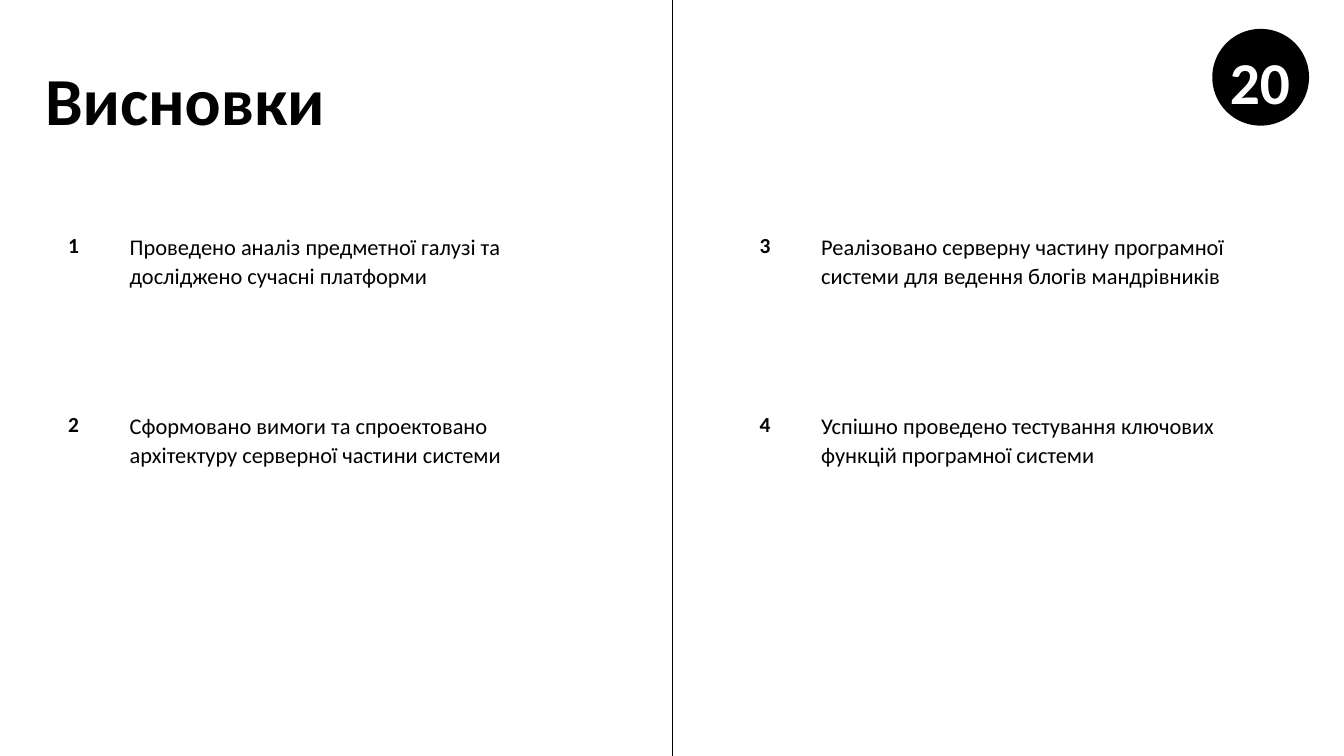
import pptx
import pptx.util
import pptx.dml.color
import pptx.enum.shapes
import pptx.enum.text
from lxml import etree
from pptx.enum.text import PP_ALIGN

BLACK = pptx.dml.color.RGBColor(0, 0, 0)
WHITE = pptx.dml.color.RGBColor(255, 255, 255)
FONT = "Calibri"
WIDTH, HEIGHT = 20, 11.25
COLUMN_LEFT, COLUMN_STEP = 0.67, 10.29
ROW_TOP, ROW_STEP = 3.44, 2.66
TEXT_INDENT = 1.26
COLUMNS = [
    [
        "Проведено аналіз предметної галузі та досліджено сучасні платформи",
        "Сформовано вимоги та спроектовано архітектуру серверної частини системи",
    ],
    [
        "Реалізовано серверну частину програмної системи для ведення блогів мандрівників",
        "Успішно проведено тестування ключових функцій програмної системи",
    ],
]


def inches(*lengths):
    return [pptx.util.Inches(length) for length in lengths]


def format_text(sp, text, size, spacing, bold=False, color=BLACK, align=PP_ALIGN.LEFT):
    tf = sp.text_frame
    tf.word_wrap = True
    tf.auto_size = pptx.enum.text.MSO_AUTO_SIZE.NONE
    tf.vertical_anchor = pptx.enum.text.MSO_ANCHOR.TOP
    tf.margin_left = tf.margin_right = tf.margin_top = tf.margin_bottom = 0
    p = tf.paragraphs[0]
    p.text = text
    p.alignment = align
    p.line_spacing = pptx.util.Pt(spacing)
    p.space_before = pptx.util.Pt(0)
    p.font.name = FONT
    p.font.size = pptx.util.Pt(size)
    p.font.bold = bold
    p.font.color.rgb = color


def add_title(s, text):
    sp = s.shapes.title
    sp.left, sp.top, sp.width, sp.height = inches(COLUMN_LEFT, 0.87, 7.54, 1.21)
    format_text(sp, text, 72, 86.4, bold=True)


def add_divider(s):
    x = WIDTH / 2
    line = s.shapes.add_connector(
        pptx.enum.shapes.MSO_CONNECTOR.STRAIGHT, *inches(x, 0, x, HEIGHT)
    )
    line.line.color.rgb = BLACK
    line.line.width = pptx.util.Pt(0.75)
    etree.SubElement(line.element.spPr, pptx.oxml.ns.qn("a:effectLst"))


def add_conclusion(s, number, text, left, top):
    sp = s.shapes.add_textbox(*inches(left + TEXT_INDENT, top, 6.65, 0.84))
    format_text(sp, text, 24, 31.2)
    sp = s.shapes.add_textbox(*inches(left, top + 0.02, 0.85, 0.38))
    format_text(sp, str(number), 23, 27.6, bold=True, align=PP_ALIGN.CENTER)


def add_page_badge(s, number):
    sp = s.shapes.add_shape(
        pptx.enum.shapes.MSO_SHAPE.OVAL, *inches(18.04, 0.43, 1.44, 1.44)
    )
    sp.shadow.inherit = False
    sp.fill.solid()
    sp.fill.fore_color.rgb = BLACK
    sp.line.fill.background()
    sp = s.shapes.add_textbox(*inches(18.02, 0.59, 1.46, 1.12))
    format_text(sp, str(number), 63.6, 82.6, bold=True, color=WHITE, align=PP_ALIGN.CENTER)


def main():
    prs = pptx.Presentation()
    prs.slide_width, prs.slide_height = inches(WIDTH, HEIGHT)
    s = prs.slides.add_slide(prs.slide_layouts[5])
    add_title(s, "Висновки")
    add_divider(s)
    number = 1
    for col, texts in enumerate(COLUMNS):
        for row, text in enumerate(texts):
            left = COLUMN_LEFT + col * COLUMN_STEP
            top = ROW_TOP + row * ROW_STEP
            add_conclusion(s, number, text, left, top)
            number += 1
    add_page_badge(s, 20)
    prs.save("out.pptx")


if __name__ == "__main__":
    main()
